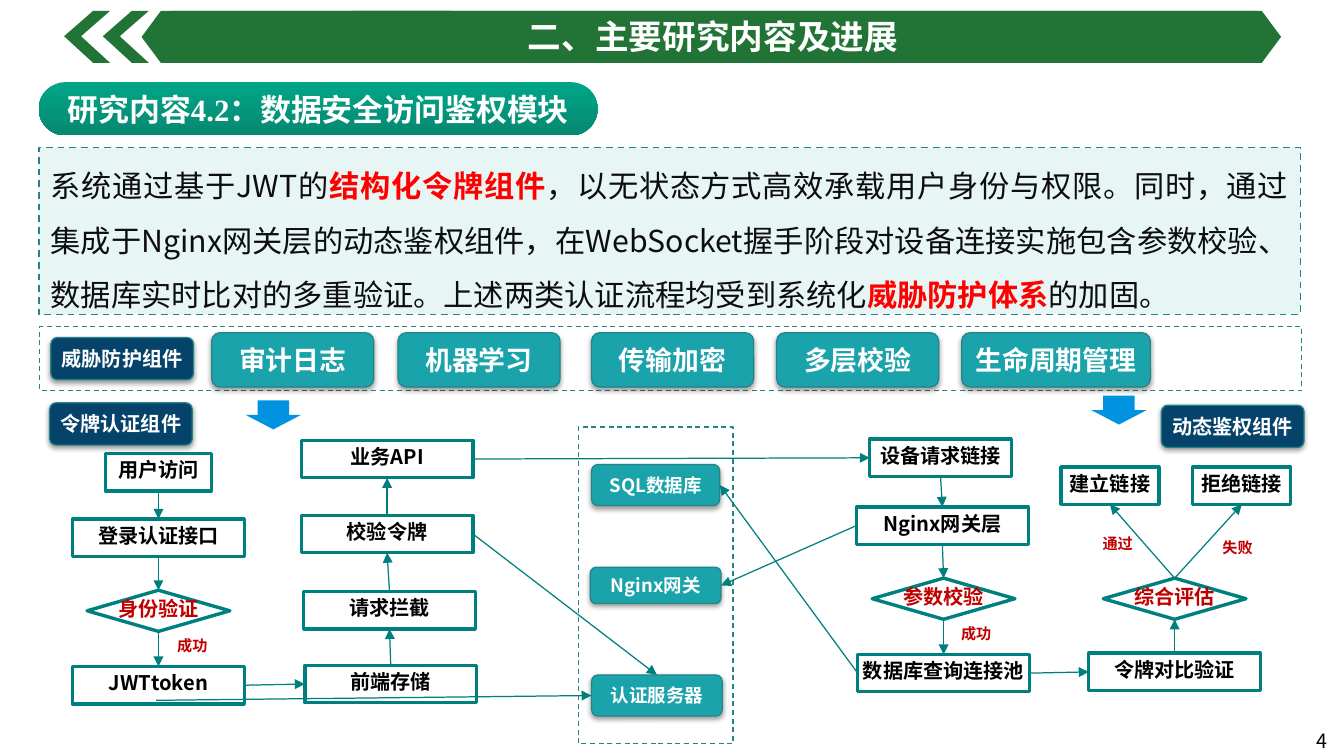
from lxml import etree
from pptx import Presentation
from pptx.dml.color import RGBColor
from pptx.enum.dml import MSO_LINE
from pptx.enum.shapes import MSO_CONNECTOR, MSO_SHAPE
from pptx.enum.text import MSO_ANCHOR, MSO_AUTO_SIZE, PP_ALIGN
from pptx.oxml.ns import qn
from pptx.util import Inches, Pt

RECTANGLE, ROUNDED = MSO_SHAPE.RECTANGLE, MSO_SHAPE.ROUNDED_RECTANGLE
DIAMOND, CHEVRON, DOWN_ARROW = MSO_SHAPE.DIAMOND, MSO_SHAPE.CHEVRON, MSO_SHAPE.DOWN_ARROW
STRAIGHT = MSO_CONNECTOR.STRAIGHT
DASH = MSO_LINE.DASH
CENTER, RIGHT, JUSTIFY = PP_ALIGN.CENTER, PP_ALIGN.RIGHT, PP_ALIGN.JUSTIFY
TOP_ANCHOR, MIDDLE = MSO_ANCHOR.TOP, MSO_ANCHOR.MIDDLE
NO_AUTOFIT = MSO_AUTO_SIZE.NONE

SANS, SERIF = "Noto Sans CJK SC", "Times New Roman"
GREEN, TEAL, EDGE, FLOW, NAVY = "217436", "1AA3AA", "238586", "007F7F", "06436B"
WHITE, BLACK, INK, RED, DARK_RED = "FFFFFF", "000000", "0D0D0D", "FF0000", "C00000"

# Connection sites of rectangles and diamonds
TOP, LEFT, BOTTOM, RIGHT_SIDE = range(4)

BODY = [
    ("系统通过基于JWT的", False),
    ("结构化令牌组件", True),
    ("，以无状态方式高效承载用户身份与权限。同时，通过集成于Nginx网关层的动态鉴权组件，"
     "在WebSocket握手阶段对设备连接实施包含参数校验、数据库实时比对的多重验证。"
     "上述两类认证流程均受到系统化", False),
    ("威胁防护体系", True),
    ("的加固。", False),
]
PROTECTIONS = [("审计日志", 1.75, 1.34), ("机器学习", 3.29, 1.34), ("传输加密", 4.89, 1.34),
               ("多层校验", 6.42, 1.34), ("生命周期管理", 7.95, 1.56)]
COMPONENTS = [("威胁防护组件", 0.42, 2.79), ("令牌认证组件", 0.41, 3.33), ("动态鉴权组件", 9.6, 3.35)]
SERVICES = [("SQL数据库", 4.89, 3.84, 1.06, 0.34), ("Nginx网关", 4.88, 4.69, 1.08, 0.3),
            ("认证服务器", 4.89, 5.58, 1.08, 0.34)]
STEPS = [("用户访问", 0.87, 3.75, 0.88), ("登录认证接口", 0.6, 4.29, 1.42),
         ("JWTtoken", 0.6, 5.51, 1.42), ("前端存储", 2.52, 5.5, 1.42),
         ("请求拦截", 2.51, 4.89, 1.42), ("校验令牌", 2.49, 4.26, 1.42),
         ("业务API", 2.49, 3.64, 1.42), ("设备请求链接", 7.19, 3.63, 1.17),
         ("Nginx网关层", 7.08, 4.19, 1.42), ("数据库查询连接池", 7.09, 5.41, 1.42),
         ("令牌对比验证", 9, 5.4, 1.42), ("建立链接", 8.77, 3.86, 0.81), ("拒绝链接", 9.86, 3.86, 0.81)]
DECISIONS = [("身份验证", 0.72, 4.88), ("参数校验", 7.21, 4.78), ("综合评估", 9.12, 4.78)]
OUTCOMES = [("成功", 1.26, 5.21), ("成功", 7.74, 5.11), ("通过", 8.91, 4.37), ("失败", 9.9, 4.4)]
LINKS = [
    ("用户访问", BOTTOM, "登录认证接口", TOP),
    ("登录认证接口", BOTTOM, "身份验证", TOP),
    ("身份验证", BOTTOM, "JWTtoken", TOP),
    ("JWTtoken", RIGHT_SIDE, "前端存储", LEFT),
    ("前端存储", TOP, "请求拦截", BOTTOM),
    ("请求拦截", TOP, "校验令牌", BOTTOM),
    ("校验令牌", TOP, "业务API", BOTTOM),
    ("校验令牌", RIGHT_SIDE, "认证服务器", TOP),
    ("业务API", RIGHT_SIDE, "设备请求链接", LEFT),
    ("设备请求链接", BOTTOM, "Nginx网关层", TOP),
    ("Nginx网关层", LEFT, "Nginx网关", RIGHT_SIDE),
    ("Nginx网关层", BOTTOM, "参数校验", TOP),
    ("参数校验", BOTTOM, "数据库查询连接池", TOP),
    ("数据库查询连接池", LEFT, "SQL数据库", RIGHT_SIDE),
    ("数据库查询连接池", RIGHT_SIDE, "令牌对比验证", LEFT),
    ("令牌对比验证", TOP, "综合评估", BOTTOM),
    ("综合评估", TOP, "建立链接", BOTTOM),
    ("综合评估", TOP, "拒绝链接", BOTTOM),
]


def rgb(color):
    return RGBColor.from_string(color)


def add_text(shape, text, size=12, color=WHITE, bold=True, font=SANS, align=CENTER,
             anchor=MIDDLE, margins=(0, 0, 0, 0), wrap=True):
    """Append a run to the shape's first paragraph; margins are left, top, right, bottom."""
    frame = shape.text_frame
    frame.auto_size = NO_AUTOFIT
    frame.word_wrap = wrap
    frame.vertical_anchor = anchor
    (frame.margin_left, frame.margin_top,
     frame.margin_right, frame.margin_bottom) = map(Inches, margins)
    paragraph = frame.paragraphs[0]
    paragraph.alignment = align
    run = paragraph.add_run()
    run.text = text
    run.font.size = Pt(size)
    run.font.bold = bold
    run.font.color.rgb = rgb(color)
    run.font.name = font
    etree.SubElement(run.font._element, qn("a:ea"), typeface=SANS)
    return paragraph


def add_box(slide, kind, left, top, width, height, fill=None, line=None, weight=0.75,
            dash=None, adjust=()):
    shape = slide.shapes.add_shape(kind, *map(Inches, (left, top, width, height)))
    shape.shadow.inherit = False
    for index, value in enumerate(adjust):
        shape.adjustments[index] = value
    if fill:
        shape.fill.solid()
        shape.fill.fore_color.rgb = rgb(fill)
    else:
        shape.fill.background()
    if line:
        shape.line.color.rgb = rgb(line)
        shape.line.width = Pt(weight)
        shape.line.dash_style = dash
    else:
        shape.line.fill.background()
    return shape


def add_badge(slide, text, left, top, width, height, fill=TEAL, size=12):
    """Rounded label with a soft shadow below it."""
    badge = add_box(slide, ROUNDED, left, top, width, height, fill, EDGE, adjust=[0.154])
    effects = badge._element.spPr.find(qn("a:effectLst"))
    shadow = etree.SubElement(effects, qn("a:outerShdw"), blurRad=str(Pt(3.1)), dist=str(Pt(1.6)),
                              dir="5400000", algn="t", rotWithShape="0")
    shadow_color = etree.SubElement(shadow, qn("a:srgbClr"), val=BLACK)
    etree.SubElement(shadow_color, qn("a:alpha"), val="38000")
    add_text(badge, text, size=size)
    return badge


def add_node(slide, kind, text, left, top, width, height, color):
    node = add_box(slide, kind, left, top, width, height, WHITE, FLOW, weight=2)
    add_text(node, text, color=color, margins=(0, 0, 0, 0.04), wrap=False)
    return node


def add_label(slide, text, left, top, width, height, **text_format):
    label = slide.shapes.add_textbox(*map(Inches, (left, top, width, height)))
    add_text(label, text, anchor=TOP_ANCHOR, **text_format)


def add_arrow(slide, start=(0, 0), end=(0, 0)):
    arrow = slide.shapes.add_connector(STRAIGHT, *map(Inches, (*start, *end)))
    arrow.line.color.rgb = rgb(FLOW)
    arrow.line.width = Pt(0.75)
    etree.SubElement(arrow.line._get_or_add_ln(), qn("a:tailEnd"), type="triangle")
    etree.SubElement(arrow._element.spPr, qn("a:effectLst"))
    return arrow


def add_banner(slide):
    add_box(slide, CHEVRON, 1.17, 0.09, 2.56, 0.43, GREEN, adjust=[0.371]).rotation = 180
    add_box(slide, CHEVRON, 2.92, 0.09, 7.67, 0.43, GREEN, adjust=[0.371])
    for tip in (0.85, 0.53):
        outline = [(tip + x, y) for x, y in
                   ((0.24, 0.09), (0.38, 0.09), (0.14, 0.3), (0.38, 0.52), (0.24, 0.52), (0, 0.3))]
        points = [(Inches(x), Inches(y)) for x, y in outline]
        builder = slide.shapes.build_freeform(*points[0])
        builder.add_line_segments(points[1:], close=True)
        mark = builder.convert_to_shape()
        mark.shadow.inherit = False
        mark.fill.solid()
        mark.fill.fore_color.rgb = rgb(GREEN)
        mark.line.fill.background()

    title = slide.shapes.title
    title.left, title.top, title.width, title.height = map(Inches, (1.41, 0.09, 8.97, 0.42))
    title.fill.solid()
    title.fill.fore_color.rgb = rgb(GREEN)
    add_text(title, "二、主要研究内容及进展", size=20)
    title._element.getparent().append(title._element)  # in front of the banner


def add_introduction(slide):
    heading = add_box(slide, ROUNDED, 0.32, 0.68, 4.62, 0.44, GREEN, adjust=[0.5])
    heading.fill.gradient()
    heading.fill.gradient_angle = 270
    for stop, color in zip(heading.fill.gradient_stops, ("00A588", "078871")):
        stop.color.rgb = rgb(color)
    add_text(heading, "研究内容4.2：数据安全访问鉴权模块", size=18.4, font=SERIF)

    panel = add_box(slide, RECTANGLE, 0.32, 1.22, 10.43, 1.38, "DDF3F1", EDGE, 1, DASH)
    panel_color = panel._element.spPr.find(qn("a:solidFill")).find(qn("a:srgbClr"))
    etree.SubElement(panel_color, qn("a:alpha"), val="70000")
    for text, key in BODY:
        paragraph = add_text(panel, text, size=18, color=RED if key else INK, bold=key,
                             font=SERIF if key else SANS, align=JUSTIFY,
                             margins=(0.1, 0.05, 0.1, 0.05))
    paragraph.line_spacing = 1.5


def add_flow(slide):
    nodes = {}
    for text, *place in SERVICES:
        nodes[text] = add_badge(slide, text, *place, size=11)
    for text, left, top, width in STEPS:
        nodes[text] = add_node(slide, RECTANGLE, text, left, top, width, 0.31, BLACK)
    for text, left, top in DECISIONS:
        nodes[text] = add_node(slide, DIAMOND, text, left, top, 1.18, 0.34, DARK_RED)
    for source, source_site, target, target_site in LINKS:
        arrow = add_arrow(slide)
        arrow.begin_connect(nodes[source], source_site)
        arrow.end_connect(nodes[target], target_site)
    add_arrow(slide, (1.29, 5.79), (4.89, 5.75))
    for text, left, top in OUTCOMES:
        add_label(slide, text, left, top, 0.66, 0.25, size=9, color=DARK_RED,
                  margins=(0.1, 0.05, 0.1, 0.05))


def main():
    presentation = Presentation()
    presentation.slide_width, presentation.slide_height = Inches(11.11), Inches(6.25)
    slide = presentation.slides.add_slide(presentation.slide_layouts[5])
    add_banner(slide)
    add_introduction(slide)
    for frame in ((0.33, 2.7, 10.43, 0.53), (4.78, 3.53, 1.28, 2.62)):
        add_box(slide, RECTANGLE, *frame, line=EDGE, dash=DASH)
    for text, left, width in PROTECTIONS:
        add_badge(slide, text, left, 2.75, width, 0.45, size=16)
    add_flow(slide)
    for left, top in ((2.03, 3.31), (9.02, 3.27)):
        add_box(slide, DOWN_ARROW, left, top, 0.46, 0.24, "0293E0", adjust=[0.566, 0.5])
    for text, left, top in COMPONENTS:
        add_badge(slide, text, left, top, 1.18, 0.35, fill=NAVY)
    add_label(slide, "4", 7.2, 6, 3.83, 0.33, size=11.7, color=BLACK, bold=False, align=RIGHT,
              margins=(0.06, 0.03, 0.06, 0.03))
    presentation.save("out.pptx")


if __name__ == "__main__":
    main()
